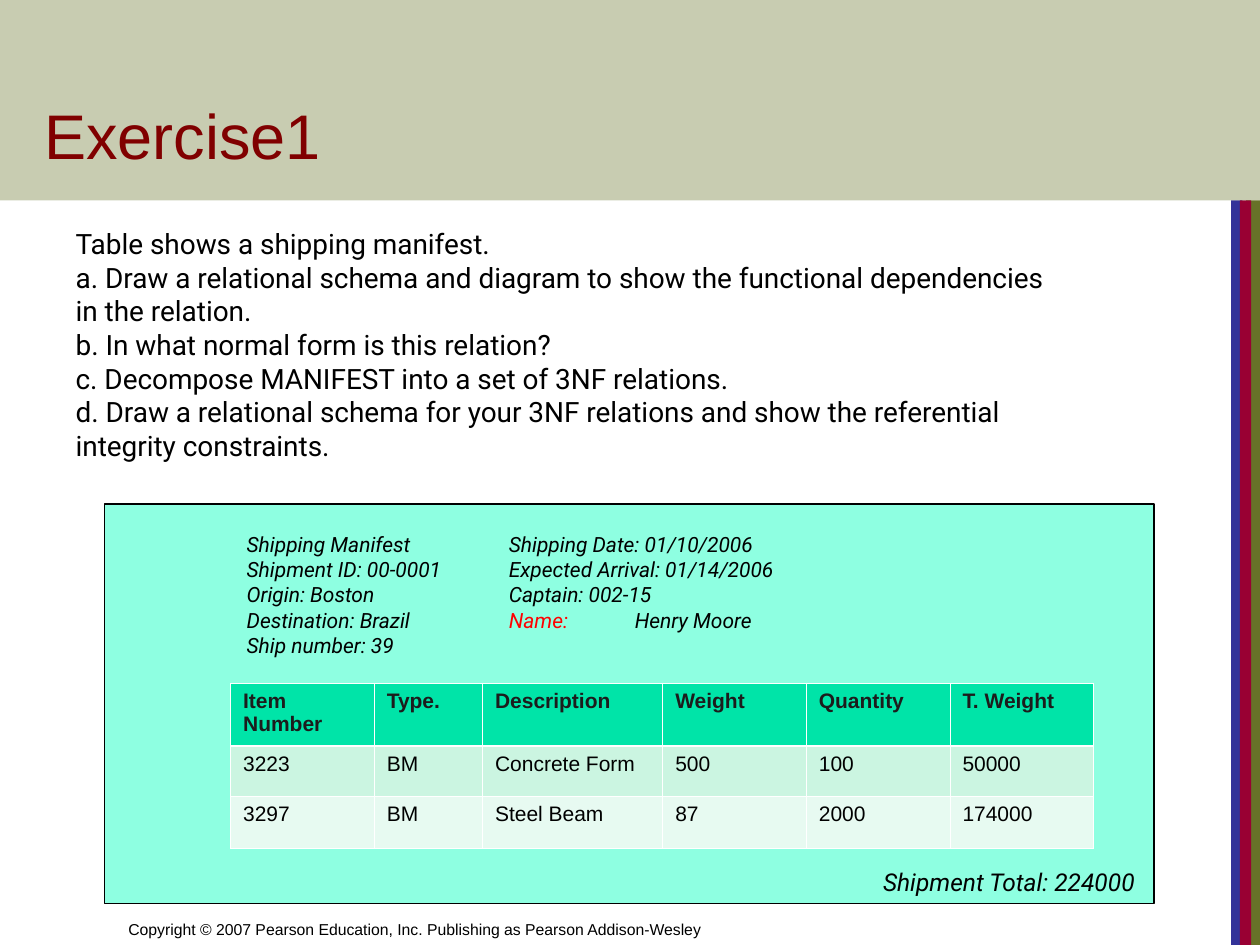
from dataclasses import dataclass

from lxml import etree
from pptx import Presentation
from pptx import util as u
from pptx.dml.color import RGBColor
from pptx.enum import shapes, text
from pptx.oxml import ns


@dataclass(frozen=True)
class Theme:
    heading_font: str = "Arial"
    body_font: str = "Roboto"
    black: str = "000000"
    white: str = "FFFFFF"
    title: str = "800000"
    label: str = "FF0000"
    olive: str = "677228"
    blue: str = "333399"
    crimson: str = "990033"
    panel: str = "8EFFE1"
    header_fill: str = "00E4A8"
    header_text: str = "1C1C1C"
    row_fills: tuple = ("CBF5E1", "E7FAF1")
    title_size: int = 36
    question_size: int = 16
    total_size: int = 14
    detail_size: int = 12
    footer_size: int = 9


THEME = Theme()

QUESTIONS = [
    "Table shows a shipping manifest.",
    "a. Draw a relational schema and diagram to show the functional dependencies in the relation.",
    "b. In what normal form is this relation?",
    "c. Decompose MANIFEST into a set of 3NF relations.",
    "d. Draw a relational schema for your 3NF relations and show the referential integrity constraints.",
]
SHIPMENT = [
    "Shipping Manifest",
    "Shipment ID: 00-0001",
    "Origin: Boston",
    "Destination: Brazil",
    "Ship number: 39",
]
VOYAGE = [
    "Shipping Date: 01/10/2006",
    "Expected Arrival: 01/14/2006",
    "Captain: 002-15",
]
ITEMS = [
    ["Item Number", "Type.", "Description", "Weight", "Quantity", "T. Weight"],
    ["3223", "BM", "Concrete Form", "500", "100", "50000"],
    ["3297", "BM", "Steel Beam", "87", "2000", "174000"],
]
COLUMN_WIDTHS = [1.14, 0.86, 1.43, 1.14, 1.14, 1.14]
ROW_HEIGHTS = [0.5, 0.4, 0.41]


def inches(*lengths):
    return [u.Inches(length) for length in lengths]


def style_font(font, size, color=THEME.black, name=THEME.body_font, bold=False, italic=False):
    font.size = u.Pt(size)
    font.name = name
    font.bold = bold
    font.italic = italic
    font.color.rgb = RGBColor.from_string(color)


def write_lines(text_frame, lines, size, **style):
    text_frame.text = "\n".join(lines)
    for paragraph in text_frame.paragraphs:
        for run in paragraph.runs:
            style_font(run.font, size, **style)


def add_rectangle(slide, box, fill, line=None, opacity=None):
    shape = slide.shapes.add_shape(shapes.MSO_SHAPE.RECTANGLE, *inches(*box))
    shape.shadow.inherit = False
    shape.fill.solid()
    shape.fill.fore_color.rgb = RGBColor.from_string(fill)
    if opacity is not None:
        color = shape.element.spPr.find(".//" + ns.qn("a:srgbClr"))
        etree.SubElement(color, ns.qn("a:alpha"), val=str(opacity * 1000))
    if line:
        shape.line.color.rgb = RGBColor.from_string(line)
        shape.line.width = u.Pt(0.75)
    else:
        shape.line.fill.background()


def add_text(slide, box, lines, size, wrap=False, **style):
    text_frame = slide.shapes.add_textbox(*inches(*box)).text_frame
    text_frame.word_wrap = wrap
    write_lines(text_frame, lines, size, **style)
    return text_frame


def place_placeholder(placeholder, box):
    """Position a placeholder and bring it in front of the shapes drawn so far."""
    placeholder.left, placeholder.top, placeholder.width, placeholder.height = inches(*box)
    placeholder.element.getparent().append(placeholder.element)
    placeholder.text_frame.auto_size = text.MSO_AUTO_SIZE.NONE
    return placeholder.text_frame


def add_title(slide):
    text_frame = place_placeholder(slide.shapes.title, (0.25, 0.33, 8.53, 1.09))
    text_frame.vertical_anchor = text.MSO_ANCHOR.BOTTOM
    write_lines(text_frame, ["Exercise1"], THEME.title_size,
                color=THEME.title, name=THEME.heading_font)
    text_frame.paragraphs[0].alignment = text.PP_ALIGN.LEFT


def add_questions(slide):
    text_frame = place_placeholder(slide.placeholders[1], (0.5, 1.75, 8, 1.97))
    write_lines(text_frame, QUESTIONS, THEME.question_size)
    for paragraph in text_frame.paragraphs:
        properties = paragraph._p.get_or_add_pPr()
        properties.set("marL", "0")
        properties.set("indent", "0")
        etree.SubElement(properties, ns.qn("a:buNone"))
        paragraph.space_before = u.Pt(0)


def add_captain_name(text_frame):
    paragraph = text_frame.add_paragraph()
    tabs = etree.SubElement(paragraph._p.get_or_add_pPr(), ns.qn("a:tabLst"))
    etree.SubElement(tabs, ns.qn("a:tab"), pos=str(u.Inches(1)), algn="l")
    for content, color in (("Name:\t", THEME.label), ("Henry Moore", THEME.black)):
        run = paragraph.add_run()
        run.text = content
        style_font(run.font, THEME.detail_size, color=color, italic=True)


def set_borders(cell, top, bottom):
    properties = cell._tc.get_or_add_tcPr()
    for side, width in (("L", 0.45), ("R", 0.45), ("T", top), ("B", bottom)):
        line = etree.SubElement(properties, ns.qn(f"a:ln{side}"), w=str(u.Pt(width)))
        fill = etree.SubElement(line, ns.qn("a:solidFill"))
        etree.SubElement(fill, ns.qn("a:srgbClr"), val=THEME.white)


def add_items_table(slide):
    box = (1.83, 5.42, sum(COLUMN_WIDTHS), sum(ROW_HEIGHTS))
    table = slide.shapes.add_table(len(ITEMS), len(COLUMN_WIDTHS), *inches(*box)).table
    for column, width in zip(table.columns, COLUMN_WIDTHS):
        column.width = u.Inches(width)
    for row, height in zip(table.rows, ROW_HEIGHTS):
        row.height = u.Inches(height)
    fills = (THEME.header_fill, *THEME.row_fills)
    for row_index, values in enumerate(ITEMS):
        header = row_index == 0
        for column_index, value in enumerate(values):
            cell = table.cell(row_index, column_index)
            set_borders(cell, top=1.47 if row_index == 1 else 0.45,
                        bottom=1.47 if header else 0.45)
            cell.fill.solid()
            cell.fill.fore_color.rgb = RGBColor.from_string(fills[row_index])
            write_lines(cell.text_frame, [value], THEME.detail_size,
                        color=THEME.header_text if header else THEME.black,
                        name=THEME.heading_font, bold=header)


def main():
    presentation = Presentation()
    presentation.slide_width, presentation.slide_height = inches(10, 7.5)
    slide = presentation.slides.add_slide(presentation.slide_layouts[1])

    # Side stripes and title band
    for left, width, color in ((9.89, 0.11, THEME.olive),
                               (9.77, 0.09, THEME.blue),
                               (9.84, 0.09, THEME.crimson)):
        add_rectangle(slide, (left, 1.59, width, 5.91), color)
    add_rectangle(slide, (0, 0, 10, 1.59), THEME.olive, opacity=36)

    # Footer
    footer = add_text(
        slide, (0.92, 7, 4.92, 0.5),
        ["Copyright © 2007 Pearson Education, Inc. Publishing as Pearson Addison-Wesley"],
        THEME.footer_size, wrap=True, name=THEME.heading_font)
    footer.vertical_anchor = text.MSO_ANCHOR.BOTTOM

    # Title and questions
    add_title(slide)
    add_questions(slide)

    # Shipping manifest
    add_rectangle(slide, (0.83, 4, 8.33, 3.17), THEME.panel, line=THEME.black)
    add_items_table(slide)
    add_text(slide, (1.86, 4.17, 1.8, 1.1), SHIPMENT, THEME.detail_size, italic=True)
    voyage = add_text(slide, (3.94, 4.17, 2.32, 0.9), VOYAGE, THEME.detail_size, italic=True)
    add_captain_name(voyage)
    add_text(slide, (6.91, 6.83, 2.25, 0.34), ["Shipment Total: 224000"],
             THEME.total_size, italic=True)

    presentation.save("out.pptx")


if __name__ == "__main__":
    main()
